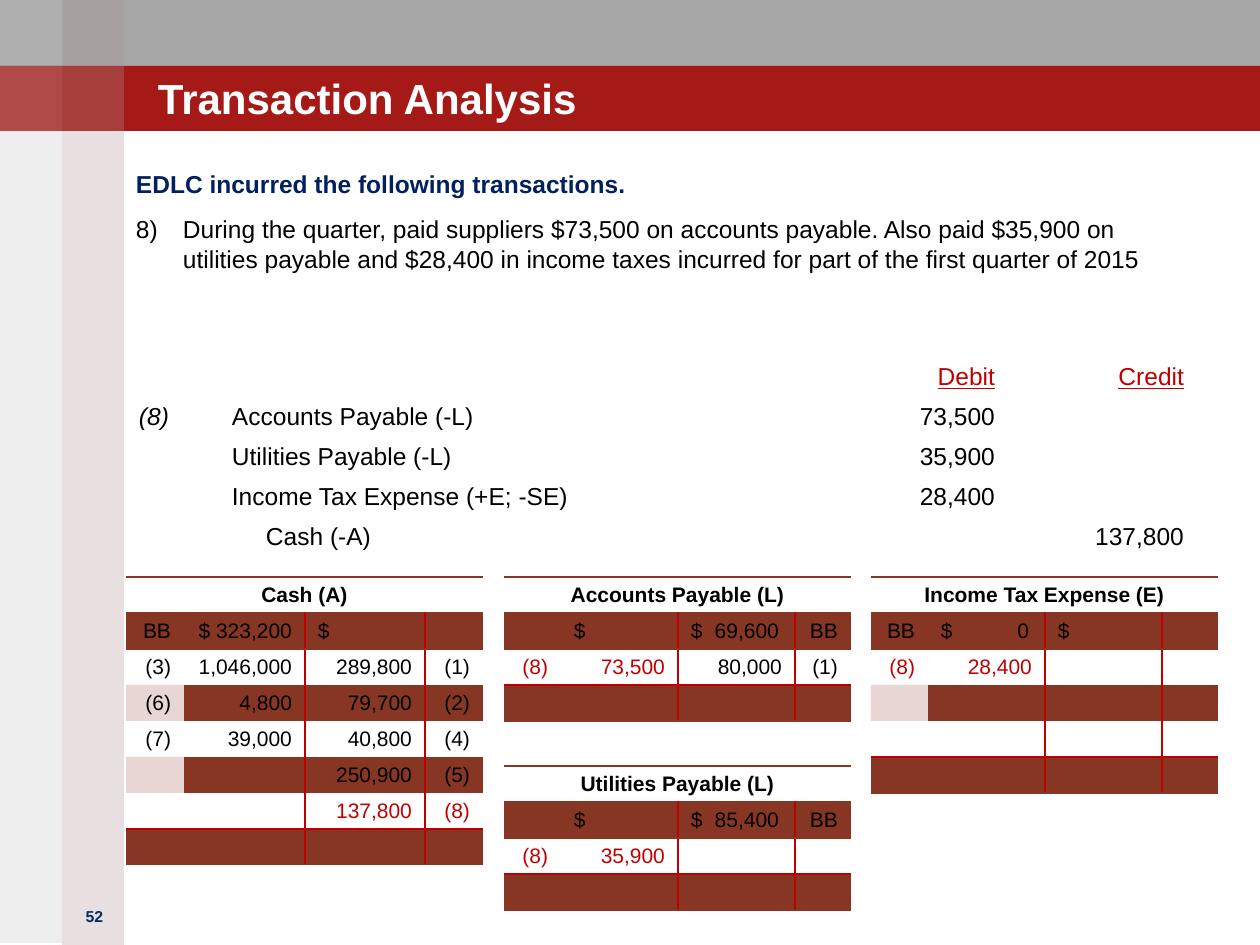
from lxml import etree
from pptx import Presentation
from pptx.dml.color import RGBColor
from pptx.enum.shapes import MSO_SHAPE
from pptx.enum.text import MSO_ANCHOR, PP_ALIGN
from pptx.oxml.ns import qn
from pptx.util import Pt

PX = 914400 / 126
RECTANGLE = MSO_SHAPE.RECTANGLE
MIDDLE, BOTTOM = MSO_ANCHOR.MIDDLE, MSO_ANCHOR.BOTTOM
LEFT, CENTER, RIGHT = PP_ALIGN.LEFT, PP_ALIGN.CENTER, PP_ALIGN.RIGHT

BLACK = RGBColor(0x00, 0x00, 0x00)
WHITE = RGBColor(0xFF, 0xFF, 0xFF)
GREY = RGBColor(0xA6, 0xA6, 0xA6)
CRIMSON = RGBColor(0xA5, 0x1A, 0x17)
MAUVE = RGBColor(0xA0, 0x82, 0x84)
WARM_GREY = RGBColor(0x93, 0x8F, 0x8F)
NAVY = RGBColor(0x00, 0x20, 0x60)
NUMBER_BLUE = RGBColor(0x00, 0x2E, 0x62)
RED = RGBColor(0xC0, 0x00, 0x00)
BROWN = RGBColor(0x87, 0x36, 0x24)

NO_STYLE = "{2D5ABB26-0587-4C30-8999-92F81FD0307C}"
CURRENT_ENTRY = "(8)"
ROW_HEIGHT = 36
DOLLAR_TAB = 88  # right tab for amounts that follow a left-hand dollar sign


def px(length):
    return round(length * PX)


def fill_solid(fill, color, opacity=100):
    fill.solid()
    fill.fore_color.rgb = color
    if opacity < 100:
        color_element = next(fill._xPr.iter(qn("a:srgbClr")))
        etree.SubElement(color_element, qn("a:alpha"), val=str(opacity * 1000))


def add_bar(slide, box, color, opacity=100):
    shape = slide.shapes.add_shape(RECTANGLE, *map(px, box))
    shape.shadow.inherit = False
    fill_solid(shape.fill, color, opacity)
    shape.line.fill.background()


def add_text_box(slide, box, inset=0):
    text_frame = slide.shapes.add_textbox(*map(px, box)).text_frame
    text_frame.word_wrap = True
    text_frame.margin_left = text_frame.margin_right = px(inset)
    text_frame.margin_top = text_frame.margin_bottom = px(inset // 2)
    return text_frame


def set_text(paragraph, text, size, color, bold=False, align=LEFT):
    paragraph.alignment = align
    paragraph.text = text
    if not text:
        etree.SubElement(paragraph._p, qn("a:endParaRPr"), sz=str(size * 100))
    for run in paragraph.runs:
        run.font.name = "Arial"
        run.font.size = Pt(size)
        run.font.bold = bold
        run.font.color.rgb = color


def add_plain_table(slide, left, top, columns, row_count, row_height):
    frame = slide.shapes.add_table(row_count, len(columns), px(left), px(top),
                                   px(sum(columns)), px(row_count * row_height))
    table = frame.table
    table.first_row = table.horz_banding = False
    table._tbl.tblPr.find(qn("a:tableStyleId")).text = NO_STYLE
    for column, width in zip(table.columns, columns):
        column.width = px(width)
    for row in table.rows:
        row.height = px(row_height)
        for cell in row.cells:
            cell.vertical_anchor = MIDDLE
            cell.margin_left = cell.margin_right = px(13)
            cell.margin_top = cell.margin_bottom = px(5)
    return table


def set_borders(cell, borders):
    properties = cell._tc.get_or_add_tcPr()
    for side in "LRTB":
        if side in borders:
            line = etree.SubElement(properties, qn(f"a:ln{side}"), w=str(Pt(1)))
            fill = etree.SubElement(line, qn("a:solidFill"))
            etree.SubElement(fill, qn("a:srgbClr"), val=str(borders[side]))


def add_background(slide, width, height):
    band, stripe = 66, 62
    add_bar(slide, (0, 0, width, band), GREY)
    add_bar(slide, (0, band, width, band - 1), CRIMSON)
    add_bar(slide, (stripe, 0, stripe, height), MAUVE, 25)
    add_bar(slide, (0, 0, stripe, height - 2), WARM_GREY, 15)
    for top in (0, band):
        add_bar(slide, (stripe, top, stripe, band - 1), WHITE, 5)
        add_bar(slide, (0, top, stripe, band - 1), WHITE, 15)


def add_headings(slide):
    number = add_text_box(slide, (63, 901, 63, 63), inset=12)
    set_text(number.paragraphs[0], "52", 9, NUMBER_BLUE, True, CENTER)
    title = add_text_box(slide, (158, 39, 998, 84))
    title.vertical_anchor = BOTTOM
    set_text(title.paragraphs[0], "Transaction Analysis", 24, WHITE, True)


def add_transaction(slide, box):
    text_frame = add_text_box(slide, box)
    intro = text_frame.paragraphs[0]
    set_text(intro, "EDLC incurred the following transactions.", 14, NAVY, True)
    intro.space_after = Pt(6)
    item = text_frame.add_paragraph()
    item.space_before = Pt(3)
    item.space_after = Pt(6)
    properties = item._p.get_or_add_pPr()
    properties.set("marL", str(px(47)))
    properties.set("indent", str(px(-47)))
    etree.SubElement(properties, qn("a:buFont"), typeface="+mj-lt")
    etree.SubElement(properties, qn("a:buAutoNum"), type="arabicParenR", startAt="8")
    set_text(item, "During the quarter, paid suppliers $73,500 on accounts payable. "
             "Also paid $35,900 on utilities payable and $28,400 in income taxes "
             "incurred for part of the first quarter of 2015", 14, BLACK)


def add_journal_entry(slide, left, top):
    entries = [("", "", "Debit", "Credit"),
               (CURRENT_ENTRY, "Accounts Payable (-L)", "73,500", ""),
               ("", "Utilities Payable (-L)", "35,900", ""),
               ("", "Income Tax Expense (+E; -SE)", "28,400", ""),
               ("", "Cash (-A)", "", "137,800")]
    table = add_plain_table(slide, left, top, (93, 631, 158, 189), len(entries), 40)
    for row, entry in enumerate(entries):
        for column, text in enumerate(entry):
            paragraph = table.cell(row, column).text_frame.paragraphs[0]
            set_text(paragraph, text, 14, BLACK if row else RED,
                     align=RIGHT if column > 1 else LEFT)
            for run in paragraph.runs:
                run.font.underline = row == 0
                run.font.italic = column == 0
    # The credited account is indented
    credited = table.cell(len(entries) - 1, 1).text_frame.paragraphs[0]
    credited._p.get_or_add_pPr().set("marL", str(px(34)))


def add_t_account(slide, left, top, columns, title, entries):
    rows = [(title, "", "", "")] + entries + [("",) * 4]
    last = len(rows) - 1
    table = add_plain_table(slide, left, top, columns, len(rows), ROW_HEIGHT)
    table.cell(0, 0).merge(table.cell(0, 3))
    for row, values in enumerate(rows):
        for column, text in enumerate(values):
            cell = table.cell(row, column)
            paragraph = cell.text_frame.paragraphs[0]
            if row == 0:
                borders = {"T": BROWN, "B": BROWN}
                set_text(paragraph, text, 12, BLACK, True, CENTER)
            else:
                borders = {}
                if column > 1:
                    borders["L"] = RED
                if column in (1, 2):
                    borders["R"] = RED
                if row == 1:
                    borders["T"] = BROWN
                if row == last - 1:
                    borders["B"] = RED
                if row == last:
                    borders.update(T=RED, B=BROWN)
                if "\t" in text:
                    tabs = etree.SubElement(paragraph._p.get_or_add_pPr(), qn("a:tabLst"))
                    etree.SubElement(tabs, qn("a:tab"), pos=str(px(DOLLAR_TAB)), algn="r")
                reference = values[0] if column < 2 else values[3]
                set_text(paragraph, text, 12, RED if reference == CURRENT_ENTRY else BLACK,
                         align=LEFT if text == "$" or "\t" in text else RIGHT)
            set_borders(cell, borders)
            if row % 2:
                fill_solid(cell.fill, BROWN, 20)


def main():
    presentation = Presentation()
    presentation.slide_width, presentation.slide_height = px(1260), px(945)
    slide = presentation.slides.add_slide(presentation.slide_layouts[6])
    add_background(slide, 1260, 945)
    add_headings(slide)
    add_transaction(slide, (136, 169, 1061, 734))
    add_journal_entry(slide, 126, 357)

    # T-accounts
    narrow = (57, 117, 117, 56)
    add_t_account(slide, 504, 766, narrow, "Utilities Payable (L)", [
        ("", "$", "$\t85,400", "BB"), ("(8)", "35,900", "", "")])
    add_t_account(slide, 871, 577, narrow, "Income Tax Expense (E)", [
        ("BB", "$\t0", "$", ""), ("(8)", "28,400", "", ""), ("",) * 4, ("",) * 4])
    add_t_account(slide, 126, 577, (58, 121, 120, 58), "Cash (A)", [
        ("BB", "$ 323,200", "$", ""), ("(3)", "1,046,000", "289,800", "(1)"),
        ("(6)", "4,800", "79,700", "(2)"), ("(7)", "39,000", "40,800", "(4)"),
        ("", "", "250,900", "(5)"), ("", "", "137,800", "(8)")])
    add_t_account(slide, 504, 577, narrow, "Accounts Payable (L)", [
        ("", "$", "$\t69,600", "BB"), ("(8)", "73,500", "80,000", "(1)")])
    presentation.save("out.pptx")


if __name__ == "__main__":
    main()
